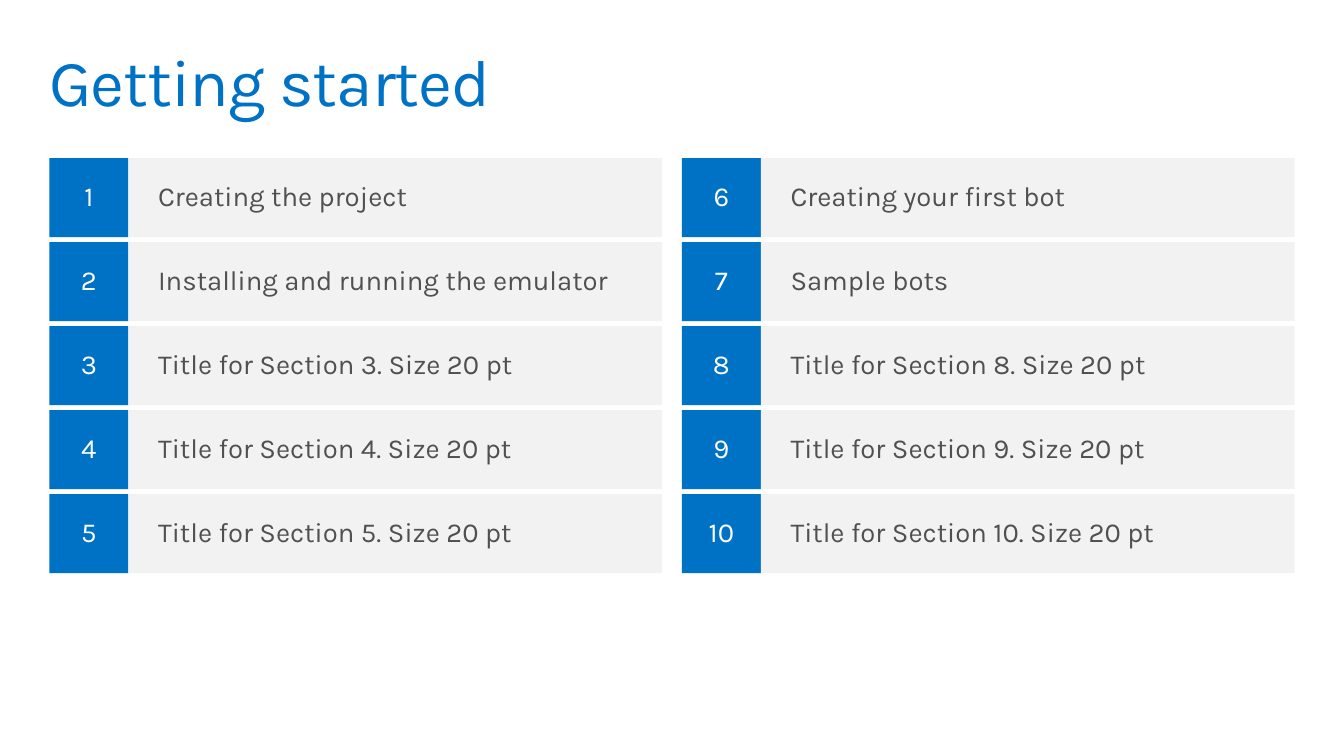
import pptx
import pptx.dml.color
import pptx.enum.shapes
import pptx.enum.text
import pptx.util

Pt = pptx.util.Pt
RGBColor = pptx.dml.color.RGBColor
Align = pptx.enum.text.PP_ALIGN

BLUE = RGBColor(0x00, 0x72, 0xC6)
PALE = RGBColor(0xF2, 0xF2, 0xF2)
GREY = RGBColor(0x50, 0x50, 0x50)
WHITE = RGBColor(0xFF, 0xFF, 0xFF)

ROWS = 5
LEFT, TOP = 36, 115.2
SIDE, WIDE = 57.6, 388.8
COL_STEP, ROW_STEP = 460.8, 61.2

TOPICS = [
    "Creating the project",
    "Installing and running the emulator",
    *(f"Title for Section {n}. Size 20 pt" for n in (3, 4, 5)),
    "Creating your first bot",
    "Sample bots",
    *(f"Title for Section {n}. Size 20 pt" for n in (8, 9, 10)),
]


def write(shape, text, size, color, align, pad_x, pad_y):
    """Put one styled run in a shape, with the given padding."""
    frame = shape.text_frame
    frame.word_wrap = True
    frame.margin_left = frame.margin_right = Pt(pad_x)
    frame.margin_top = frame.margin_bottom = Pt(pad_y)
    para = frame.paragraphs[0]
    para.alignment = align
    para.line_spacing = 0.9
    run = para.add_run()
    run.text = text
    run.font.name = "Karla"
    run.font.size = Pt(size)
    run.font.color.rgb = color
    return run


def add_box(left, top, width, fill):
    """Add a flat box of row height with its text in the middle."""
    box = slide.shapes.add_shape(
        pptx.enum.shapes.MSO_SHAPE.RECTANGLE,
        Pt(left), Pt(top), Pt(width), Pt(SIDE))
    box.shadow.inherit = False
    box.fill.solid()
    box.fill.fore_color.rgb = fill
    box.line.fill.background()
    box.text_frame.vertical_anchor = pptx.enum.text.MSO_ANCHOR.MIDDLE
    return box


deck = pptx.Presentation()
deck.slide_width, deck.slide_height = Pt(979.2), Pt(550.8)
slide = deck.slides.add_slide(deck.slide_layouts[6])

title = slide.shapes.add_textbox(Pt(28.8), Pt(28.8), Pt(921.6), Pt(72))
run = write(title, "Getting started", 48, BLUE, Align.LEFT, 7.2, 7.2)
run.font._element.set("spc", "-70")

for i, topic in enumerate(TOPICS):
    col, row = divmod(i, ROWS)
    left = LEFT + col * COL_STEP
    top = TOP + row * ROW_STEP
    badge = add_box(left, top, SIDE, BLUE)
    write(badge, str(i + 1), 20, WHITE, Align.CENTER, 14.4, 11.52)
    bar = add_box(left + SIDE, top, WIDE, PALE)
    write(bar, topic, 20, GREY, Align.LEFT, 21.6, 7.2)

deck.save("out.pptx")
